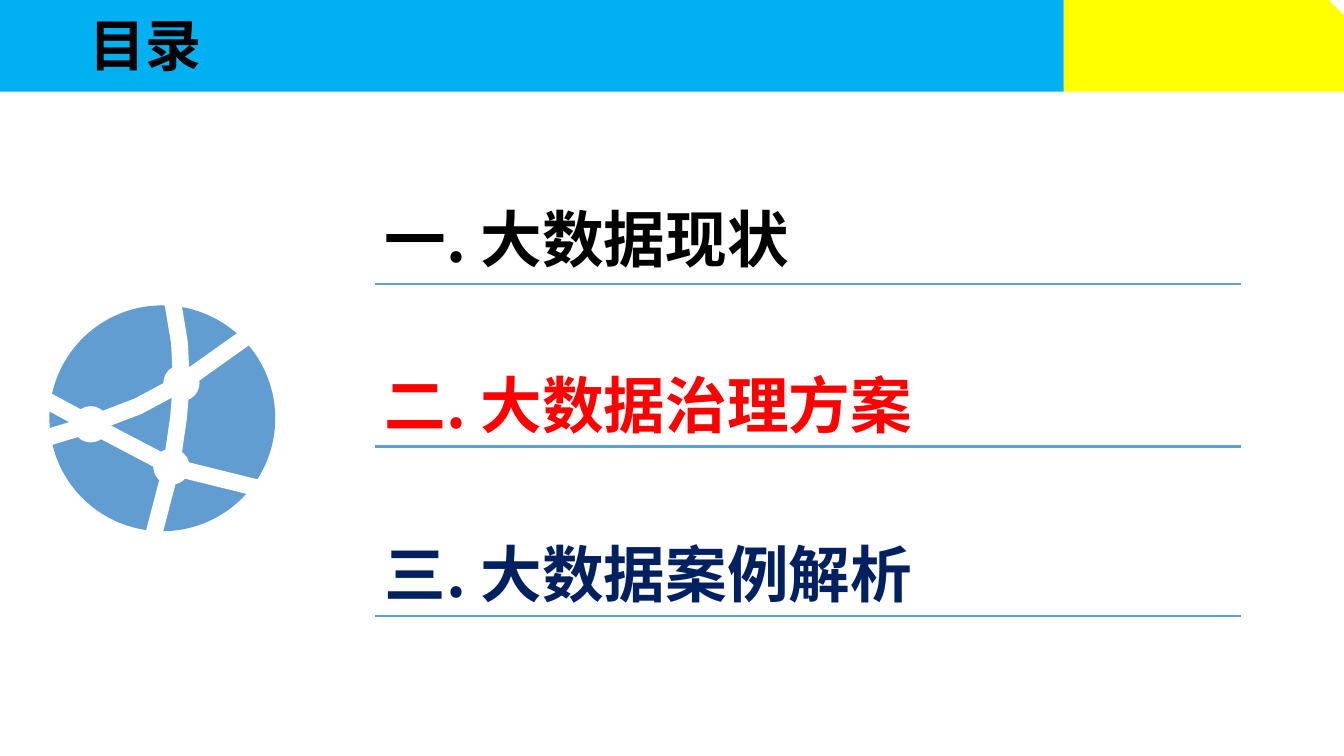
"""Build the agenda slide with a header band, a network globe and three chapters."""
from dataclasses import dataclass

from lxml import etree
from pptx import Presentation
from pptx.dml.color import RGBColor
from pptx.enum.shapes import MSO_CONNECTOR, MSO_SHAPE
from pptx.enum.text import MSO_ANCHOR, MSO_AUTO_SIZE, PP_ALIGN
from pptx.oxml.ns import qn
from pptx.util import Inches, Pt

STRAIGHT = MSO_CONNECTOR.STRAIGHT
RECTANGLE = MSO_SHAPE.RECTANGLE
SNIPPED = MSO_SHAPE.SNIP_1_RECTANGLE
OVAL = MSO_SHAPE.OVAL
MIDDLE = MSO_ANCHOR.MIDDLE
NO_AUTOFIT = MSO_AUTO_SIZE.NONE
LEFT = PP_ALIGN.LEFT


@dataclass(frozen=True)
class Theme:
    font: str = "Noto Sans CJK SC"
    title_size: int = 40
    chapter_size: int = 44
    rule_width: float = 1.5
    strand_width: int = 12
    black: str = "000000"
    white: str = "FFFFFF"
    red: str = "FF0000"
    navy: str = "002060"
    sky: str = "00B0F0"
    yellow: str = "FFFF00"
    steel: str = "629DD1"


THEME = Theme()
SLIDE_WIDTH, SLIDE_HEIGHT = 13.33, 7.5
BAND_HEIGHT, BAND_SPLIT = 0.91, 10.55
RULE_LEFT, RULE_RIGHT = 3.72, 12.31
CHAPTER_WIDTH, CHAPTER_HEIGHT = 9.13, 0.84

TITLE = "目录"
CHAPTERS = [
    ("一. 大数据现状", THEME.black, 1.94, 2.82),
    ("二. 大数据治理方案", THEME.red, 3.59, 4.43),
    ("三. 大数据案例解析", THEME.navy, 5.27, 6.11),
]
BANDS = [
    (SNIPPED, BAND_SPLIT, SLIDE_WIDTH - BAND_SPLIT, THEME.yellow),
    (RECTANGLE, 0, BAND_SPLIT, THEME.sky),
]
GLOBE_CENTER, GLOBE_RADIUS = (1.61, 4.15), 1.12
NODE_RADIUS = 0.18
UPPER_NODE, LEFT_NODE, LOWER_NODE = (1.8, 3.8), (0.9, 4.21), (1.7, 4.63)
STRANDS = [
    [(1.71, 2.98), (1.78, 3.4), UPPER_NODE, (1.77, 4.15), LOWER_NODE, (1.52, 5.32)],
    [(0.44, 4.35), LEFT_NODE, (1.37, 4.03), UPPER_NODE, (2.46, 3.33)],
    [(0.44, 3.96), LEFT_NODE, LOWER_NODE, (2.55, 4.84)],
]


def paint(shape, color):
    shape.shadow.inherit = False
    shape.fill.solid()
    shape.fill.fore_color.rgb = RGBColor.from_string(color)
    shape.line.fill.background()


def write(frame, wording, size, color):
    frame.text = wording
    frame.word_wrap = True
    paragraph = frame.paragraphs[0]
    paragraph.alignment = LEFT
    font = paragraph.runs[0].font
    font.name = THEME.font
    font.size = Pt(size)
    font.bold = True
    font.color.rgb = RGBColor.from_string(color)
    east_asian = etree.SubElement(font._element, qn("a:ea"))
    east_asian.set("typeface", THEME.font)


def add_bands(slide):
    for kind, left, width, color in BANDS:
        band = slide.shapes.add_shape(
            kind, Inches(left), 0, Inches(width), Inches(BAND_HEIGHT))
        paint(band, color)


def add_chapters(slide):
    for wording, color, top, rule_y in CHAPTERS:
        chapter = slide.shapes.add_textbox(
            Inches(RULE_LEFT), Inches(top), Inches(CHAPTER_WIDTH), Inches(CHAPTER_HEIGHT))
        write(chapter.text_frame, wording, THEME.chapter_size, color)
        rule = slide.shapes.add_connector(
            STRAIGHT, Inches(RULE_LEFT), Inches(rule_y), Inches(RULE_RIGHT), Inches(rule_y))
        rule.line.color.rgb = RGBColor.from_string(THEME.steel)
        rule.line.width = Pt(THEME.rule_width)
        etree.SubElement(rule._element.spPr, qn("a:effectLst"))


def add_disc(slide, center, radius, color):
    x, y = center
    disc = slide.shapes.add_shape(
        OVAL, Inches(x - radius), Inches(y - radius), Inches(2 * radius), Inches(2 * radius))
    paint(disc, color)


def add_globe(slide):
    add_disc(slide, GLOBE_CENTER, GLOBE_RADIUS, THEME.steel)
    for strand in STRANDS:
        start, *bends = [(Inches(x), Inches(y)) for x, y in strand]
        builder = slide.shapes.build_freeform(*start)
        builder.add_line_segments(bends, close=False)
        gap = builder.convert_to_shape()
        gap.shadow.inherit = False
        gap.fill.background()
        gap.line.color.rgb = RGBColor.from_string(THEME.white)
        gap.line.width = Pt(THEME.strand_width)
    for node in (UPPER_NODE, LEFT_NODE, LOWER_NODE):
        add_disc(slide, node, NODE_RADIUS, THEME.white)


def place_title(slide):
    title = slide.shapes.title
    title.left, title.top = Inches(0.79), Inches(-0.18)
    title.width, title.height = Inches(10.22), Inches(1.32)
    write(title.text_frame, TITLE, THEME.title_size, THEME.black)
    title.text_frame.auto_size = NO_AUTOFIT
    title.text_frame.vertical_anchor = MIDDLE
    title.text_frame.paragraphs[0].line_spacing = 0.9
    slide.shapes._spTree.append(title._element)


def main():
    deck = Presentation()
    deck.slide_width, deck.slide_height = Inches(SLIDE_WIDTH), Inches(SLIDE_HEIGHT)
    slide = deck.slides.add_slide(deck.slide_layouts[5])
    add_bands(slide)
    add_chapters(slide)
    add_globe(slide)
    place_title(slide)
    deck.save("out.pptx")


if __name__ == "__main__":
    main()
